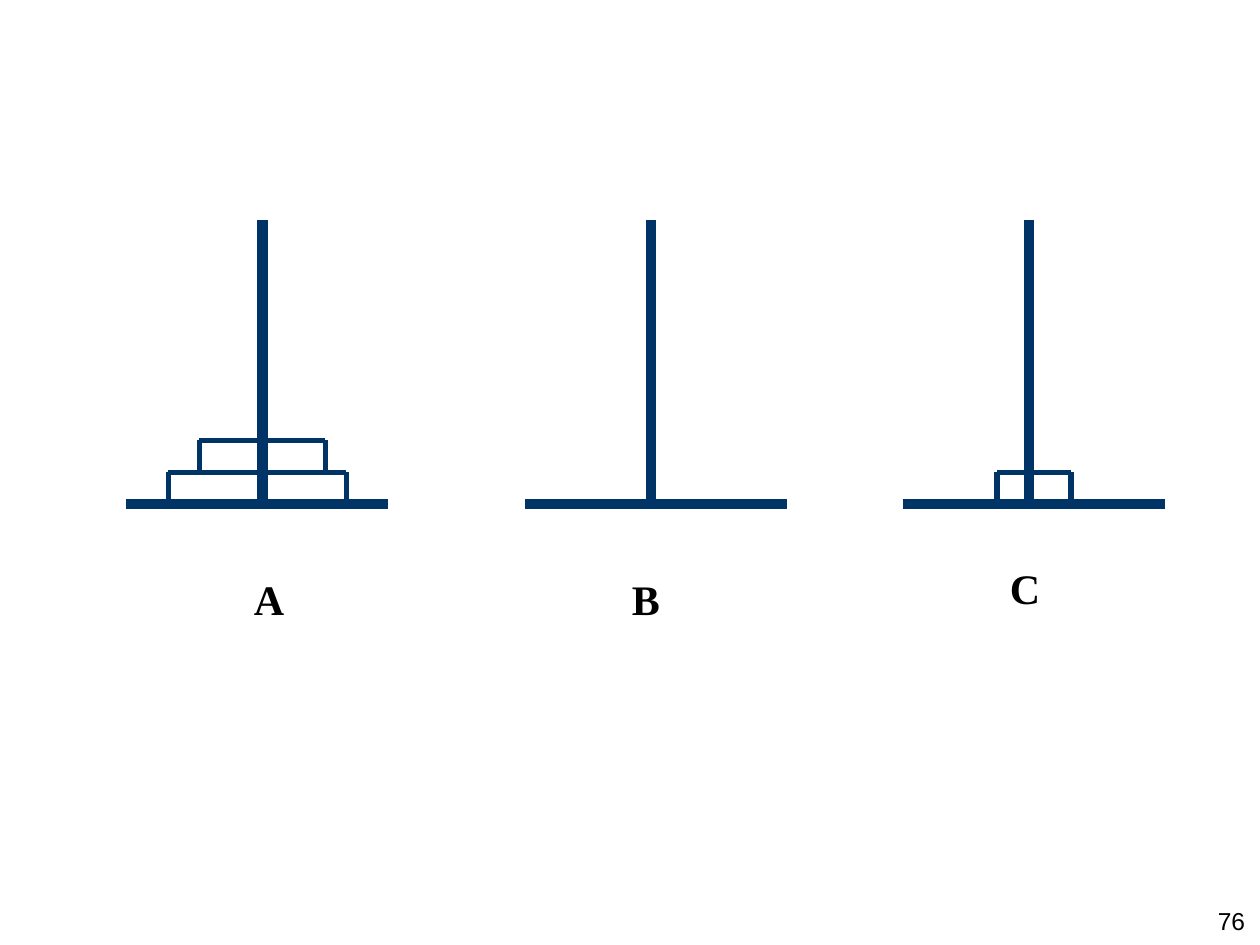
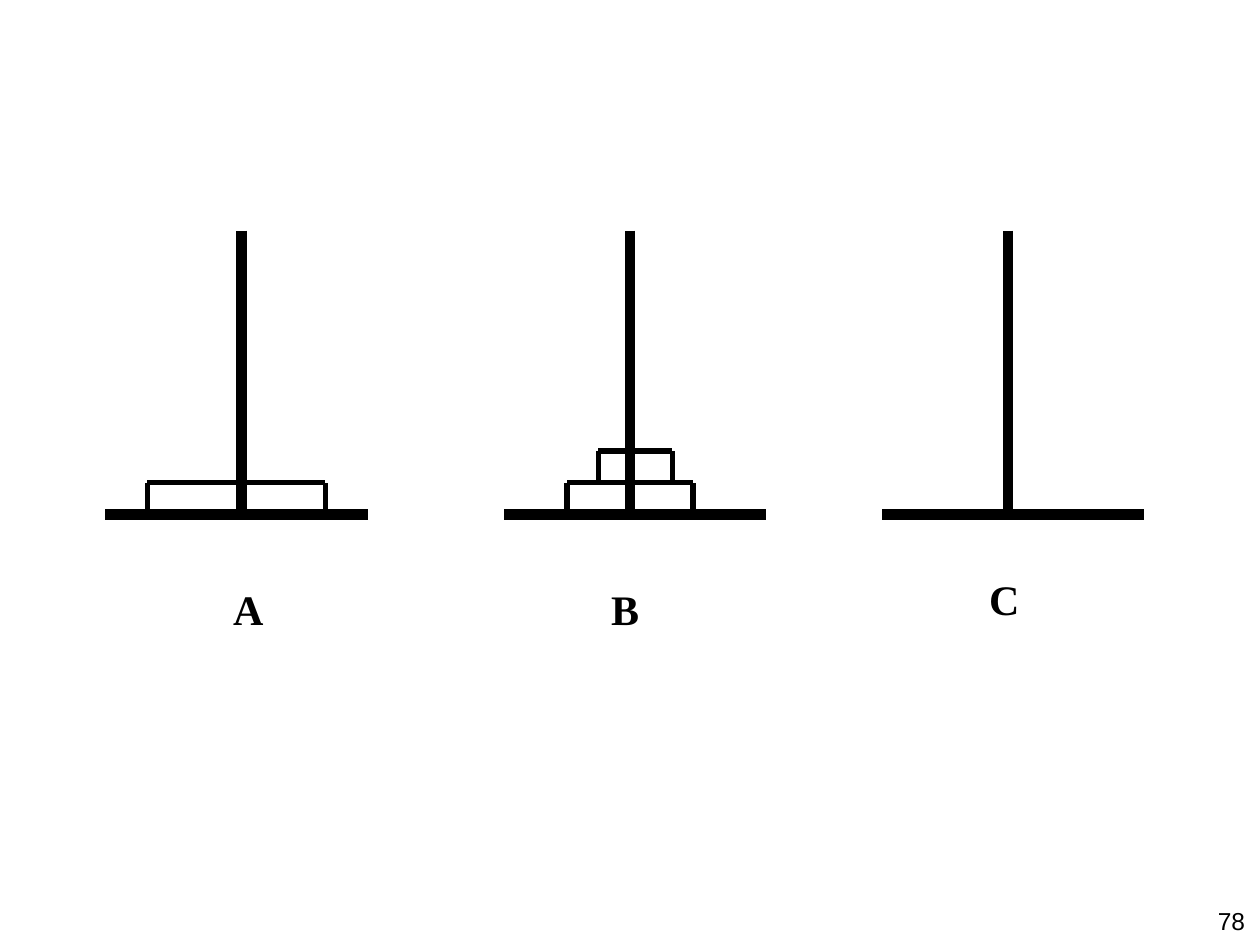
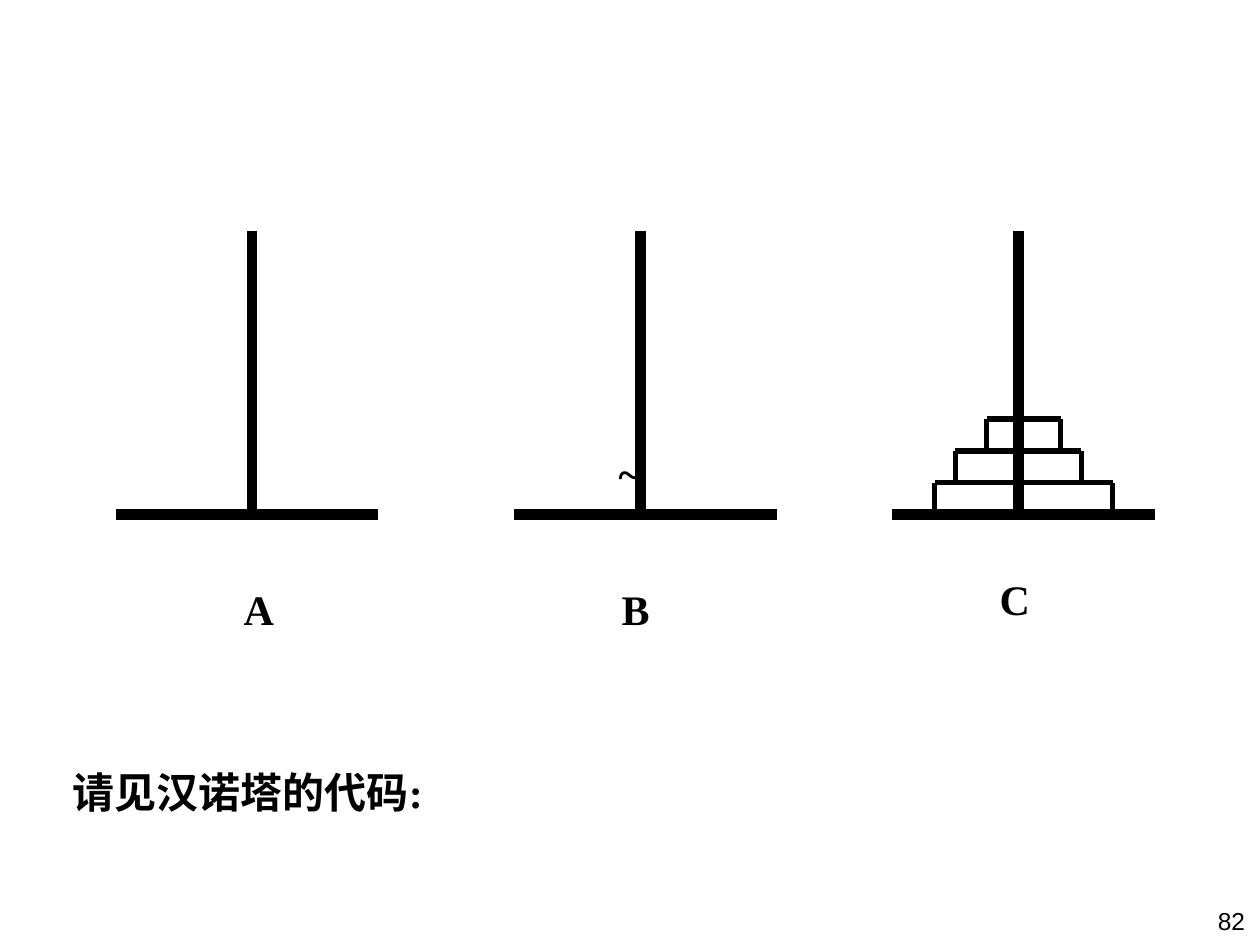
from lxml import etree
from pptx import Presentation, util as u
from pptx.dml.color import RGBColor
from pptx.enum import shapes, text
from pptx.oxml.ns import qn

COLOURS = {"navy": "003366", "black": "000000", "white": "FFFFFF"}
LABEL_FONT = {"name": "Times New Roman", "size": u.Pt(24), "bold": True}
NUMBER_FONT = {"name": "Arial", "size": u.Pt(14)}

# Lengths in cm; pegs are measured from the left end of base A
BASE_WIDTH, POLE_HEIGHT, DISK_HEIGHT = 5.29, 5.72, 0.64
LABEL_INDENT = 0.64
PEGS = {
    "A": {"base": 0, "pole": 2.75, "label": (1.69, 1.27)},
    "B": {"base": 8.04, "pole": 10.58, "label": (9.31, 1.27)},
    "C": {"base": 15.66, "pole": 18.2, "label": (16.93, 1.06)},
}

# Reach of each disk to the left and right of its pole
DISKS = {"small": (0.64, 0.85), "medium": (1.27, 1.27), "large": (1.9, 1.69)}

# Each state: page number, colour, origin, and disks on each peg from the bottom up
STATES = [
    ("76", "navy", (2.54, 10.16), {"A": ["large", "medium"], "C": ["small"]}),
    ("78", "black", (2.12, 10.37), {"A": ["large"], "B": ["medium", "small"]}),
    ("82", "black", (2.33, 10.37), {"C": ["large", "medium", "small"]}),
]


def rgb(name):
    return RGBColor.from_string(COLOURS[name])


def draw_line(slide, start, end, colour, width):
    line = slide.shapes.add_connector(
        shapes.MSO_CONNECTOR.STRAIGHT, *(u.Cm(v) for v in (*start, *end)))
    line.line.color.rgb = rgb(colour)
    line.line.width = u.Pt(width)
    etree.SubElement(line._element.spPr, qn("a:effectLst"))


def write(frame, words, font_format, align=text.PP_ALIGN.LEFT):
    paragraph = frame.paragraphs[0]
    paragraph.text = words
    paragraph.alignment = align
    for attribute, value in font_format.items():
        setattr(paragraph.font, attribute, value)
    paragraph.font.color.rgb = rgb("black")
    return paragraph


def add_words(slide, box, words, font_format, align=text.PP_ALIGN.LEFT, wrap=False):
    frame = slide.shapes.add_textbox(*(u.Cm(v) for v in box)).text_frame
    frame.word_wrap = wrap
    write(frame, words, font_format, align)


def add_label(slide, left, top, letter):
    label = slide.shapes.add_shape(
        shapes.MSO_SHAPE.RECTANGLE, *(u.Cm(v) for v in (left, top, 2.54, 1.27)))
    label.shadow.inherit = False
    label.fill.solid()
    label.fill.fore_color.rgb = rgb("white")
    label.line.color.rgb = rgb("white")
    label.line.width = u.Pt(0.75)
    label.text_frame.vertical_anchor = text.MSO_ANCHOR.TOP
    paragraph = write(label.text_frame, letter, LABEL_FONT)
    paragraph._p.get_or_add_pPr().set("marL", str(u.Cm(LABEL_INDENT)))


def add_disk(slide, left, right, bottom, colour):
    top = bottom - DISK_HEIGHT
    for side in (left, right):
        draw_line(slide, (side, bottom), (side, top), colour, 3)
    draw_line(slide, (left, top), (right, top), colour, 3)


def add_peg(slide, letter, origin, disks, colour):
    peg = PEGS[letter]
    x, floor = origin
    base, pole = x + peg["base"], x + peg["pole"]
    draw_line(slide, (base, floor), (base + BASE_WIDTH, floor), colour, 6)
    draw_line(slide, (pole, floor - POLE_HEIGHT), (pole, floor), colour, 6)
    for level, disk in enumerate(disks):
        left, right = DISKS[disk]
        if (letter, disk) == ("C", "large"):  # leans right on the last peg
            left, right = right, left
        add_disk(slide, pole - left, pole + right, floor - level * DISK_HEIGHT, colour)
    across, down = peg["label"]
    add_label(slide, x + across, floor + down, letter)


def add_state(deck, number, colour, origin, stacks):
    slide = deck.slides.add_slide(deck.slide_layouts[6])
    add_words(slide, (20.07, 18.14, 5.28, 1.27), number, NUMBER_FONT,
              text.PP_ALIGN.RIGHT, wrap=True)
    for letter in PEGS:
        add_peg(slide, letter, origin, stacks.get(letter, []), colour)
    return slide


def main():
    deck = Presentation()
    deck.slide_width, deck.slide_height = u.Cm(25.4), u.Cm(19.05)
    for state in STATES:
        slide = add_state(deck, *state)

    # Closing words on the solved state
    add_words(slide, (1.22, 15.32, 7.77, 1.27), "请见汉诺塔的代码:", LABEL_FONT)
    add_words(slide, (12.22, 8.89, 0.94, 1.27), "~", LABEL_FONT)
    deck.save("out.pptx")


if __name__ == "__main__":
    main()
